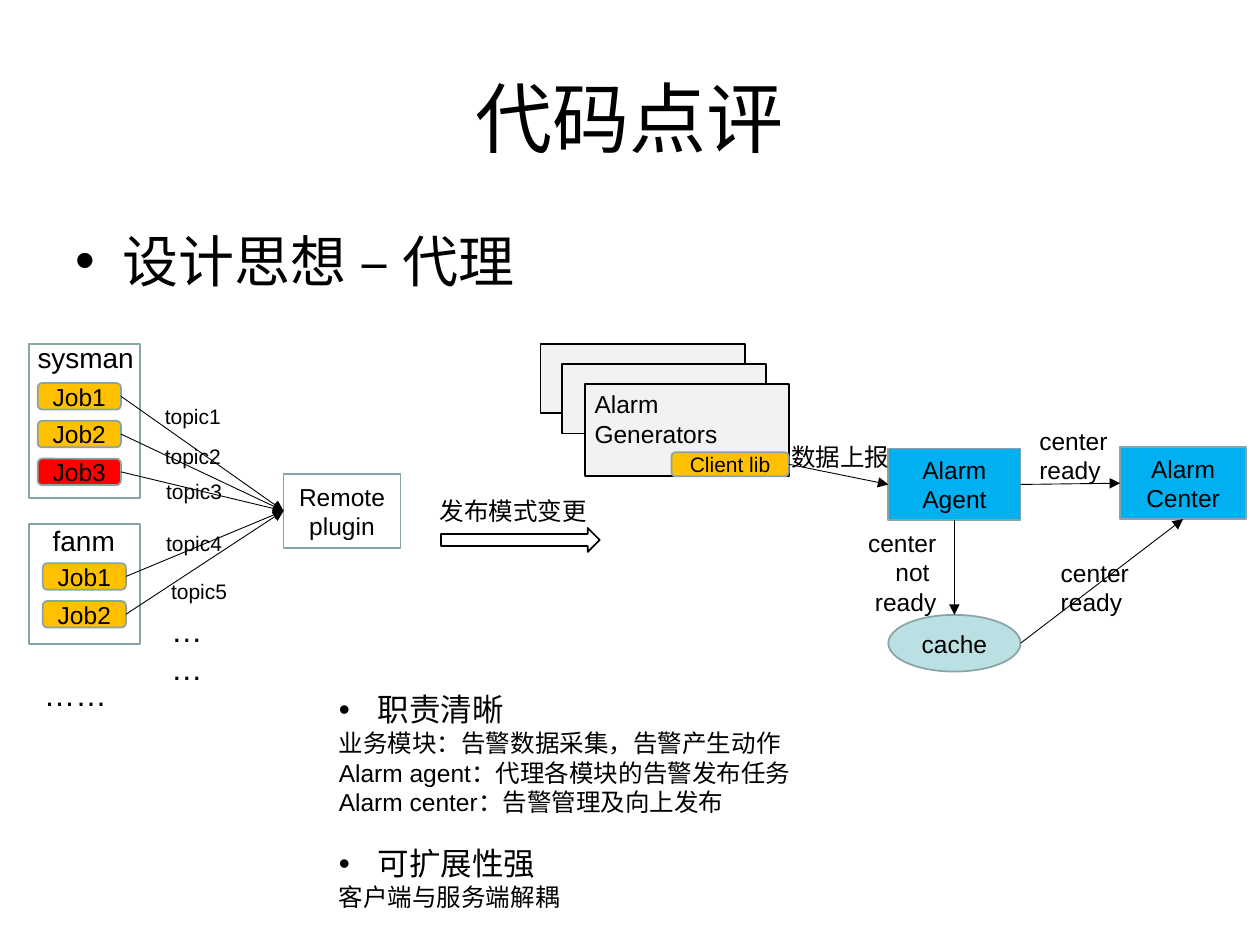
from dataclasses import dataclass
from typing import Optional

from lxml.etree import SubElement
from pptx import Presentation
from pptx.dml.color import RGBColor
from pptx.enum.shapes import MSO_CONNECTOR as Cxn, MSO_SHAPE as Shp
from pptx.enum.text import MSO_ANCHOR as Anchor, MSO_AUTO_SIZE as AutoSize, PP_ALIGN as Align
from pptx.oxml.ns import qn
from pptx.util import Pt

PX = 9144  # EMU per px, 100 px to the inch
FONT = "Arial"
BLACK, TEAL, GREY = "000000", "89A4A7", "F2F2F2"
AMBER, RED, BLUE, PALE = "FFC000", "FF0000", "00B0F0", "BBE0E3"
TOP, LEFT, BOTTOM, RIGHT = range(4)


@dataclass
class Box:
    x: int
    y: int
    w: int
    h: int
    text: str = ""
    fill: Optional[str] = None
    line: str = TEAL
    kind: Shp = Shp.RECTANGLE
    size: int = 14


@dataclass
class Label:
    x: int
    y: int
    w: int
    h: int
    text: str
    size: int = 14
    align: Align = Align.LEFT


def rgb(color: str) -> RGBColor:
    return RGBColor.from_string(color)


def place(sp, x: int, y: int, w: int, h: int) -> None:
    sp.left, sp.top, sp.width, sp.height = (v * PX for v in (x, y, w, h))


def style(p, size: int, align: Align = Align.LEFT) -> None:
    p.alignment = align
    for r in p.runs:
        r.font.size = Pt(size)
        r.font.name = FONT
        r.font.color.rgb = rgb(BLACK)


def add_box(shapes, b: Box):
    sp = shapes.add_shape(b.kind, *(v * PX for v in (b.x, b.y, b.w, b.h)))
    sp.shadow.inherit = False
    if b.fill:
        sp.fill.solid()
        sp.fill.fore_color.rgb = rgb(b.fill)
    else:
        sp.fill.background()
    sp.line.color.rgb = rgb(b.line)
    sp.line.width = Pt(1)
    if b.text:
        tf = sp.text_frame
        tf.text = b.text
        tf.vertical_anchor = Anchor.MIDDLE
        for p in tf.paragraphs:
            style(p, b.size, Align.CENTER)
    return sp


def add_label(shapes, lb: Label):
    sp = shapes.add_textbox(*(v * PX for v in (lb.x, lb.y, lb.w, lb.h)))
    tf = sp.text_frame
    tf.word_wrap = True
    tf.text = lb.text
    for p in tf.paragraphs:
        style(p, lb.size, lb.align)
    return sp


def side_point(sp, side: int) -> tuple[int, int]:
    dx, dy = [(1, 0), (0, 1), (1, 2), (2, 1)][side]
    return sp.left + sp.width * dx // 2, sp.top + sp.height * dy // 2


def add_arrow(shapes, start, start_side: int, end, end_side: int) -> None:
    c = shapes.add_connector(Cxn.STRAIGHT, *side_point(start, start_side),
                             *side_point(end, end_side))
    # An ellipse numbers its connection sites differently, except for the top
    if start.auto_shape_type != Shp.OVAL:
        c.begin_connect(start, start_side)
    c.end_connect(end, end_side)
    c.line.color.rgb = rgb(BLACK)
    c.line.width = Pt(0.5)
    SubElement(c.line._get_or_add_ln(), qn("a:tailEnd"), type="triangle")
    SubElement(c._element.spPr, qn("a:effectLst"))


def add_bullet(p, indent: int) -> None:
    pPr = p._p.get_or_add_pPr()
    pPr.set("marL", str(indent * PX))
    pPr.set("indent", str(-indent * PX))
    SubElement(pPr, qn("a:buFont"), typeface=FONT)
    SubElement(pPr, qn("a:buChar"), char="•")


def draw_heading(slide) -> None:
    title, body = slide.shapes.title, slide.placeholders[1]
    for sp, area, text, size, align in (
        (title, (50, 30, 900, 125), "代码点评", 44, Align.CENTER),
        (body, (50, 175, 900, 84), "设计思想 – 代理", 32, Align.LEFT),
    ):
        place(sp, *area)
        tf = sp.text_frame
        tf.text = text
        tf.auto_size = AutoSize.NONE
        p = tf.paragraphs[0]
        p.space_before = Pt(0)
        style(p, size, align)


def draw_publishers(shapes) -> None:
    """Jobs of two modules that publish topics to one remote plugin."""
    plugin = add_box(shapes, Box(225, 376, 93, 59, "Remote\nplugin"))
    modules = (
        (Box(23, 273, 88, 122), Label(20, 265, 103, 37, "sysman", 16),
         30, 304, (AMBER, AMBER, RED)),
        (Box(23, 416, 88, 95), Label(32, 411, 69, 37, "fanm", 16),
         34, 447, (AMBER, AMBER)),
    )
    for frame, name, x, y, fills in modules:
        add_box(shapes, frame)
        add_label(shapes, name)
        for i, fill in enumerate(fills):
            job = add_box(shapes, Box(x, y + 30 * i, 66, 21, f"Job{i + 1}", fill,
                                      kind=Shp.ROUNDED_RECTANGLE))
            add_arrow(shapes, job, RIGHT, plugin, LEFT)
    topics = ((121, 315), (121, 347), (122, 375), (122, 416), (126, 454))
    for n, (x, y) in enumerate(topics, 1):
        add_label(shapes, Label(x, y, 66, 30, f"topic{n}", 12))
    add_label(shapes, Label(25, 531, 86, 40, "……", 18))
    add_label(shapes, Label(126, 480, 69, 70, "……", 18))


def draw_alarm_flow(shapes) -> None:
    """Generators report to the agent, which forwards or caches alarms."""
    for x, y, h in ((429, 273, 55), (446, 289, 55), (464, 305, 73)):
        add_box(shapes, Box(x, y, 162, h, fill=GREY, line=BLACK))
    client = add_box(shapes, Box(533, 359, 93, 19, "Client lib", AMBER,
                                 kind=Shp.ROUNDED_RECTANGLE, size=12))
    agent = add_box(shapes, Box(705, 356, 105, 57, "Alarm\nAgent", BLUE))
    center = add_box(shapes, Box(889, 355, 100, 57, "Alarm\nCenter", BLUE))
    cache = add_box(shapes, Box(705, 488, 105, 45, "cache", PALE, kind=Shp.OVAL))
    add_arrow(shapes, client, RIGHT, agent, LEFT)
    add_arrow(shapes, agent, RIGHT, center, LEFT)
    add_arrow(shapes, agent, BOTTOM, cache, TOP)
    add_arrow(shapes, cache, RIGHT, center, BOTTOM)
    for lb in (
        Label(462, 304, 122, 57, "Alarm Generators"),
        Label(618, 346, 105, 34, "数据上报"),
        Label(815, 333, 78, 57, "center ready"),
        Label(667, 414, 86, 80, "center\nnot \nready", align=Align.RIGHT),
        Label(832, 438, 78, 57, "center ready"),
    ):
        add_label(shapes, lb)


def draw_benefits(shapes) -> None:
    lines = ("职责清晰", "业务模块：告警数据采集，告警产生动作",
             "Alarm agent：代理各模块的告警发布任务",
             "Alarm center：告警管理及向上发布",
             "可扩展性强", "客户端与服务端解耦")
    sp = add_label(shapes, Label(259, 543, 482, 187, "\n".join(lines)))
    heads = [sp.text_frame.paragraphs[i] for i in (0, 4)]
    heads[1].space_before = Pt(16)
    for p in heads:
        add_bullet(p, 31)
        style(p, 18)


def main() -> None:
    prs = Presentation()
    prs.slide_width, prs.slide_height = 1000 * PX, 750 * PX
    slide = prs.slides.add_slide(prs.slide_layouts[1])
    shapes = slide.shapes
    draw_heading(slide)
    draw_publishers(shapes.add_group_shape().shapes)
    draw_alarm_flow(shapes.add_group_shape().shapes)
    # Change of publishing mode
    add_box(shapes, Box(350, 419, 126, 19, line=BLACK, kind=Shp.RIGHT_ARROW))
    add_label(shapes, Label(339, 389, 144, 34, "发布模式变更"))
    draw_benefits(shapes)
    prs.save("out.pptx")


if __name__ == "__main__":
    main()
